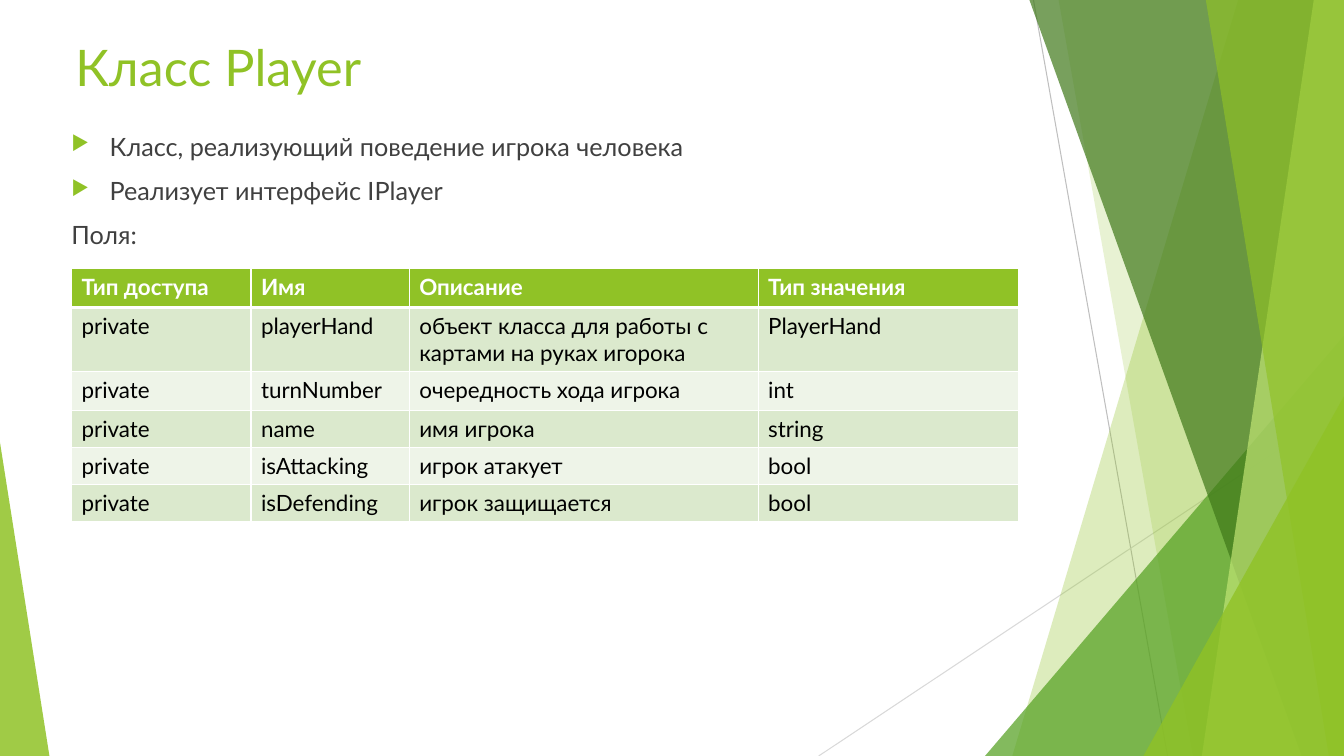
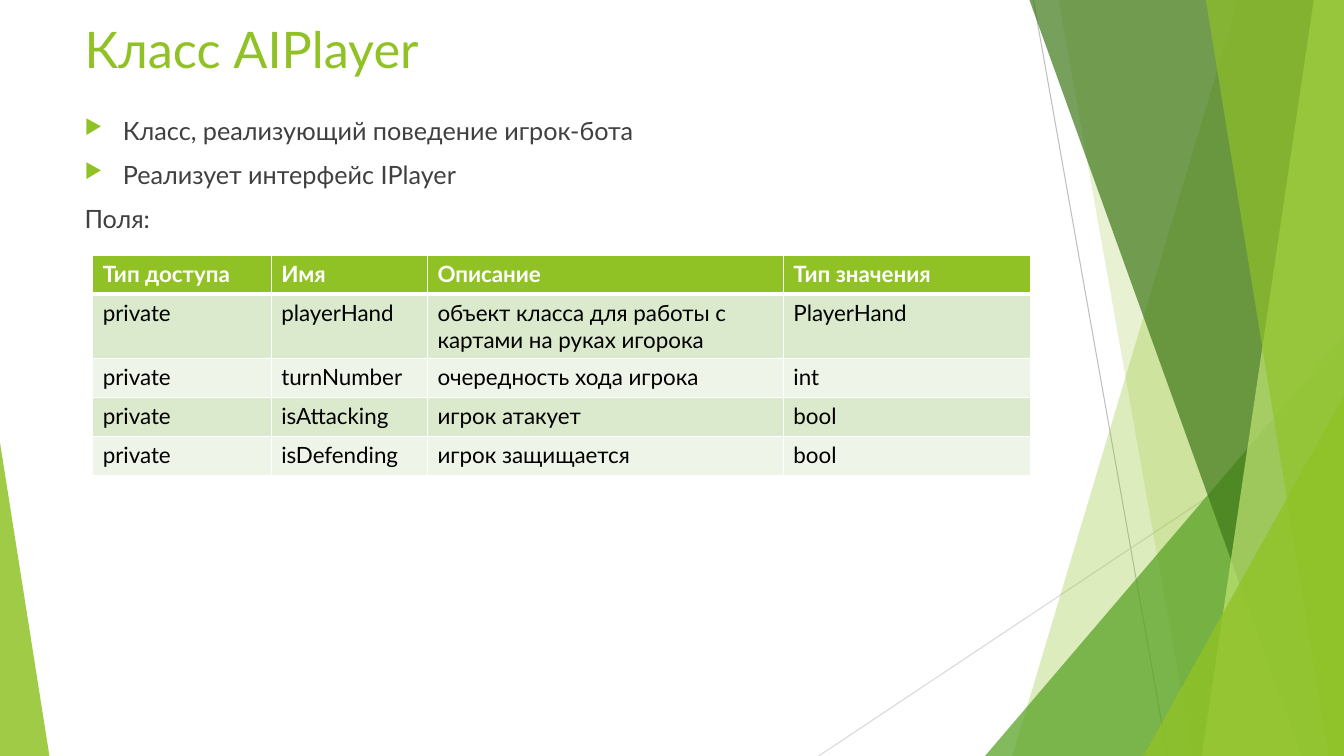
"""Build two slides that describe the fields of the Player and AIPlayer classes."""
from lxml import etree
from pptx import Presentation
from pptx.dml.color import RGBColor
from pptx.enum.shapes import MSO_CONNECTOR, MSO_SHAPE
from pptx.enum.text import MSO_ANCHOR
from pptx.oxml import parse_xml
from pptx.oxml.ns import nsdecls, qn
from pptx.util import Inches, Pt

STRAIGHT = MSO_CONNECTOR.STRAIGHT
TRIANGLE = MSO_SHAPE.ISOSCELES_TRIANGLE
TOP = MSO_ANCHOR.TOP

WHITE = RGBColor(0xFF, 0xFF, 0xFF)
BLACK = RGBColor(0x00, 0x00, 0x00)
TEXT_GRAY = RGBColor(0x40, 0x40, 0x40)
MID_GRAY = RGBColor(0xBF, 0xBF, 0xBF)
LIGHT_GRAY = RGBColor(0xD9, 0xD9, 0xD9)
LIME = RGBColor(0x90, 0xC2, 0x26)
PALE_LIME = RGBColor(0xC0, 0xE4, 0x74)
GREEN = RGBColor(0x54, 0xA0, 0x21)
DARK_GREEN = RGBColor(0x3F, 0x78, 0x19)
BAND_DARK = RGBColor(0xDB, 0xE9, 0xCD)
BAND_LIGHT = RGBColor(0xEE, 0xF4, 0xE8)

WIDTH, HEIGHT = 13.33, 7.5
TITLE_FONT = {"name": "Lato", "size": Pt(36), "bold": False}
BODY_FONT = {"name": "Lato", "size": Pt(18), "bold": False}
HEADER_FONT = {"name": "Lato", "size": Pt(16), "bold": True}
CELL_FONT = {"name": "Lato", "size": Pt(16), "bold": False}

RAYS = [
    (10.25, 0, 11.58, HEIGHT, MID_GRAY),
    (WIDTH, 4.03, 8.12, HEIGHT, LIGHT_GRAY),
]
FACETS = [
    ("panel", (12.28, 10.04), LIME, 30),
    ("panel", (10.5, 11.83), LIME, 20),
    ("triangle", (9.77, 3.33, 3.56, 1), GREEN, 72),
    ("panel", (10.21, 12.91), DARK_GREEN, 70),
    ("panel", (13.03, 11.92), PALE_LIME, 70),
    ("panel", (11.96, 13.18), LIME, 65),
    ("triangle", (11.34, 3.93, 1.99, 1), LIME, 80),
    ("triangle", (0, 4.39, 0.49, 0), LIME, 85),
]

HEADER = ("Тип доступа", "Имя", "Описание", "Тип значения")
HAND = ("private", "playerHand", "объект класса для работы с картами на руках игорока", "PlayerHand")
TURN = ("private", "turnNumber", "очередность хода игрока", "int")
NAME = ("private", "name", "имя игрока", "string")
ATTACKING = ("private", "isAttacking", "игрок атакует", "bool")
DEFENDING = ("private", "isDefending", "игрок защищается", "bool")

CLASSES = [
    {
        "title": "Класс Player",
        "title_box": (0.65, 0.31, 4.71, 0.76),
        "purpose": "Класс, реализующий поведение игрока человека",
        "body_box": (0.61, 1.25, 9.49, 5.65),
        "table_at": (0.71, 2.66),
        "columns": (1.78, 1.57, 3.46, 2.58),
        "row_heights": (0.39, 0.35, 0.39, 0.35, 0.35, 0.35),
        "fields": (HAND, TURN, NAME, ATTACKING, DEFENDING),
    },
    {
        "title": "Класс AIPlayer",
        "title_box": (0.74, 0.13, 4.71, 0.76),
        "purpose": "Класс, реализующий поведение игрок-бота",
        "body_box": (0.74, 1.09, 9.4, 6.3),
        "table_at": (0.92, 2.53),
        "columns": (1.77, 1.55, 3.53, 2.45),
        "row_heights": (0.39, 0.35, 0.39, 0.39, 0.39),
        "fields": (HAND, TURN, ATTACKING, DEFENDING),
    },
]


def write(paragraph, text, font_values, color):
    run = paragraph.add_run()
    run.text = text
    for attribute, value in font_values.items():
        setattr(run.font, attribute, value)
    run.font.color.rgb = color


def add_text_frame(slide, box):
    frame = slide.shapes.add_textbox(*map(Inches, box)).text_frame
    frame.word_wrap = True
    frame.vertical_anchor = TOP
    return frame


deck = Presentation()
deck.slide_width, deck.slide_height = Inches(WIDTH), Inches(HEIGHT)

for game_class in CLASSES:
    slide = deck.slides.add_slide(deck.slide_layouts[6])

    for x1, y1, x2, y2, color in RAYS:
        ray = slide.shapes.add_connector(STRAIGHT, *map(Inches, (x1, y1, x2, y2)))
        ray.line.color.rgb = color
        ray.line.width = Pt(0.75)
        etree.SubElement(ray._element.spPr, qn("a:effectLst"))

    for kind, geometry, color, opacity in FACETS:
        if kind == "panel":
            top_x, bottom_x = geometry
            outline = slide.shapes.build_freeform(Inches(top_x), 0)
            corners = [(WIDTH, 0), (WIDTH, HEIGHT), (bottom_x, HEIGHT)]
            outline.add_line_segments([(Inches(x), Inches(y)) for x, y in corners])
            facet = outline.convert_to_shape()
        else:
            left, top, width, apex = geometry
            facet = slide.shapes.add_shape(TRIANGLE, *map(Inches, (left, top, width, HEIGHT - top)))
            facet.adjustments[0] = apex
        facet.shadow.inherit = False
        facet.line.fill.background()
        facet.fill.solid()
        facet.fill.fore_color.rgb = color
        tint = facet._element.spPr.find(qn("a:solidFill"))[0]
        etree.SubElement(tint, qn("a:alpha"), val=str(opacity * 1000))

    title = add_text_frame(slide, game_class["title_box"])
    write(title.paragraphs[0], game_class["title"], TITLE_FONT, LIME)

    body = add_text_frame(slide, game_class["body_box"])
    statements = [(game_class["purpose"], True), ("Реализует интерфейс IPlayer", True), ("Поля:", False)]
    for index, (statement, bulleted) in enumerate(statements):
        paragraph = body.add_paragraph() if index else body.paragraphs[0]
        paragraph.space_before = Pt(10)
        write(paragraph, statement, BODY_FONT, TEXT_GRAY)
        if bulleted:
            properties = paragraph._p.get_or_add_pPr()
            properties.set("marL", str(Inches(0.38)))
            properties.set("indent", str(-Inches(0.38)))
            bullet_color = etree.SubElement(properties, qn("a:buClr"))
            etree.SubElement(bullet_color, qn("a:srgbClr"), val=str(LIME))
            etree.SubElement(properties, qn("a:buSzPct"), val="80000")
            etree.SubElement(properties, qn("a:buChar"), char="▶")

    rows = (HEADER, *game_class["fields"])
    columns, row_heights = game_class["columns"], game_class["row_heights"]
    size = (sum(columns), sum(row_heights))
    table = slide.shapes.add_table(
        len(rows), len(HEADER), *map(Inches, (*game_class["table_at"], *size))
    ).table
    table.horz_banding = False
    for column, width in zip(table.columns, columns):
        column.width = Inches(width)
    for row_index, (row, height, values) in enumerate(zip(table.rows, row_heights, rows)):
        row.height = Inches(height)
        if row_index == 0:
            fill, font_values, color = LIME, HEADER_FONT, WHITE
        else:
            fill = BAND_DARK if row_index % 2 else BAND_LIGHT
            font_values, color = CELL_FONT, BLACK
        borders = {"lnL": 1, "lnR": 1, "lnT": 3 if row_index == 1 else 1, "lnB": 3 if row_index == 0 else 1}
        for cell, value in zip(row.cells, values):
            write(cell.text_frame.paragraphs[0], value, font_values, color)
            cell.fill.solid()
            cell.fill.fore_color.rgb = fill
            cell_properties = cell._tc.get_or_add_tcPr()
            for position, (side, points) in enumerate(borders.items()):
                border = parse_xml(
                    f'<a:{side} {nsdecls("a")} w="{Pt(points)}"><a:solidFill>'
                    f'<a:srgbClr val="{WHITE}"/></a:solidFill></a:{side}>'
                )
                cell_properties.insert(position, border)

deck.save("out.pptx")
